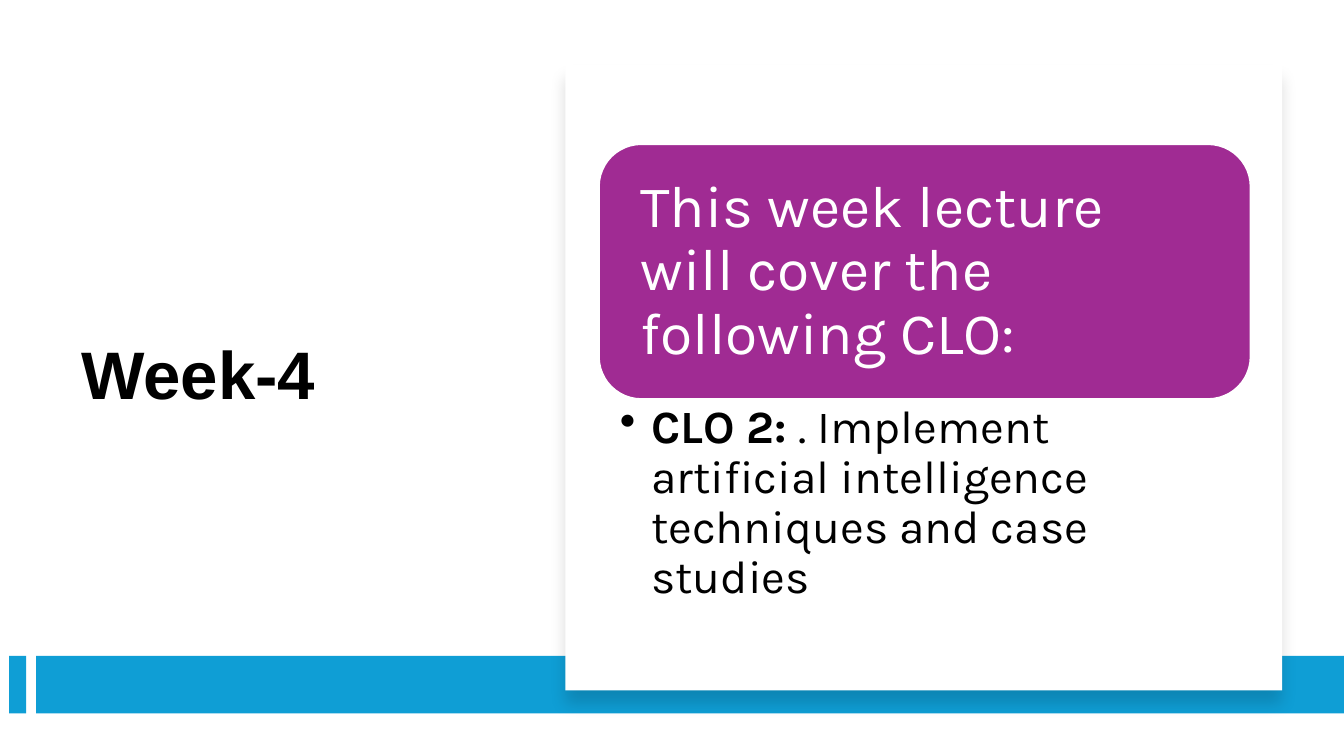
from dataclasses import dataclass

import pptx
import pptx.dml.color
import pptx.enum.shapes
import pptx.enum.text
import pptx.oxml
import pptx.oxml.ns
import pptx.util
from pptx.util import Cm

MSO = pptx.enum.shapes.MSO_SHAPE
ANCHOR = pptx.enum.text.MSO_ANCHOR
BLUE, PURPLE, WHITE, BLACK = "0F9ED5", "A02B93", "FFFFFF", "000000"


@dataclass
class Block:
    left: float
    top: float
    width: float
    height: float
    fill: str
    kind: int = MSO.RECTANGLE
    line: str | None = None
    shadow: bool = False


def color(target, value: str) -> None:
    target.rgb = pptx.dml.color.RGBColor.from_string(value)


def place(sp, left: float, top: float, width: float, height: float) -> None:
    sp.left, sp.top, sp.width, sp.height = map(Cm, (left, top, width, height))


def add_shadow(sp) -> None:
    ns = pptx.oxml.ns.nsdecls("a")
    effects = sp._element.spPr.find(pptx.oxml.ns.qn("a:effectLst"))
    effects.append(pptx.oxml.parse_xml(
        f'<a:outerShdw {ns} blurRad="139700" dist="127000" dir="5400000" algn="t" '
        f'rotWithShape="0"><a:srgbClr val="{BLACK}"><a:alpha val="15000"/>'
        '</a:srgbClr></a:outerShdw>'))


def add_block(s, b: Block):
    sp = s.shapes.add_shape(b.kind, *map(Cm, (b.left, b.top, b.width, b.height)))
    sp.shadow.inherit = False
    sp.fill.solid()
    color(sp.fill.fore_color, b.fill)
    if b.line:
        color(sp.line.color, b.line)
        sp.line.width = pptx.util.Pt(1.5)
    else:
        sp.line.fill.background()
    if b.shadow:
        add_shadow(sp)
    return sp


def set_frame(tf, anchor, insets: tuple[float, float, float, float]) -> None:
    tf.word_wrap = True
    tf.auto_size = pptx.enum.text.MSO_AUTO_SIZE.NONE
    tf.vertical_anchor = anchor
    tf.margin_left, tf.margin_top, tf.margin_right, tf.margin_bottom = map(Cm, insets)


def set_paragraph(p) -> None:
    p.alignment = pptx.enum.text.PP_ALIGN.LEFT
    p.line_spacing = 0.9


def add_bullet(p, indent: float) -> None:
    pPr = p._p.get_or_add_pPr()
    pPr.set("marL", str(Cm(indent)))
    pPr.set("indent", str(-Cm(indent)))
    ns = pptx.oxml.ns.nsdecls("a")
    pPr.append(pptx.oxml.parse_xml(f'<a:buChar {ns} char="•"/>'))


def add_run(p, text: str, *, size: float, font: str = "Karla",
            value: str = BLACK, bold: bool = False) -> None:
    r = p.add_run()
    r.text = text
    r.font.size = pptx.util.Pt(size)
    r.font.name = font
    r.font.bold = bold
    color(r.font.color, value)


def main() -> None:
    prs = pptx.Presentation()
    prs.slide_width, prs.slide_height = Cm(33.87), Cm(19.05)
    s = prs.slides.add_slide(prs.slide_layouts[5])

    # Title
    title = s.shapes.title
    place(title, 1.8, 3.05, 10.54, 12.95)
    set_frame(title.text_frame, ANCHOR.MIDDLE, (0.25, 0.13, 0.25, 0.13))
    p = title.text_frame.paragraphs[0]
    set_paragraph(p)
    add_run(p, "Week-4", size=48, font="Arial", bold=True)

    # Blue band and white panel
    for block in (
        Block(0.23, 16.53, 0.43, 1.45, BLUE),
        Block(0.91, 16.53, 32.96, 1.45, BLUE),
        Block(14.25, 1.63, 18.06, 15.77, WHITE, shadow=True),
    ):
        add_block(s, block)

    # Heading card
    card = add_block(s, Block(15.09, 3.63, 16.43, 6.43, PURPLE,
                              MSO.ROUNDED_RECTANGLE, WHITE))
    set_frame(card.text_frame, ANCHOR.MIDDLE, (0.74, 0.74, 0.74, 0.74))
    p = card.text_frame.paragraphs[0]
    set_paragraph(p)
    add_run(p, "This week lecture will cover the following CLO:", size=42, value=WHITE)

    # Learning outcome
    outcome = s.shapes.add_textbox(*map(Cm, (15.09, 10.03, 16.43, 5.79)))
    set_frame(outcome.text_frame, ANCHOR.TOP, (0.53, 0.15, 0.83, 0.15))
    p = outcome.text_frame.paragraphs[0]
    set_paragraph(p)
    add_bullet(p, 0.79)
    add_run(p, "CLO 2: ", size=33, bold=True)
    add_run(p, ". Implement artificial intelligence techniques and case studies", size=33)

    prs.save("out.pptx")


if __name__ == "__main__":
    main()
